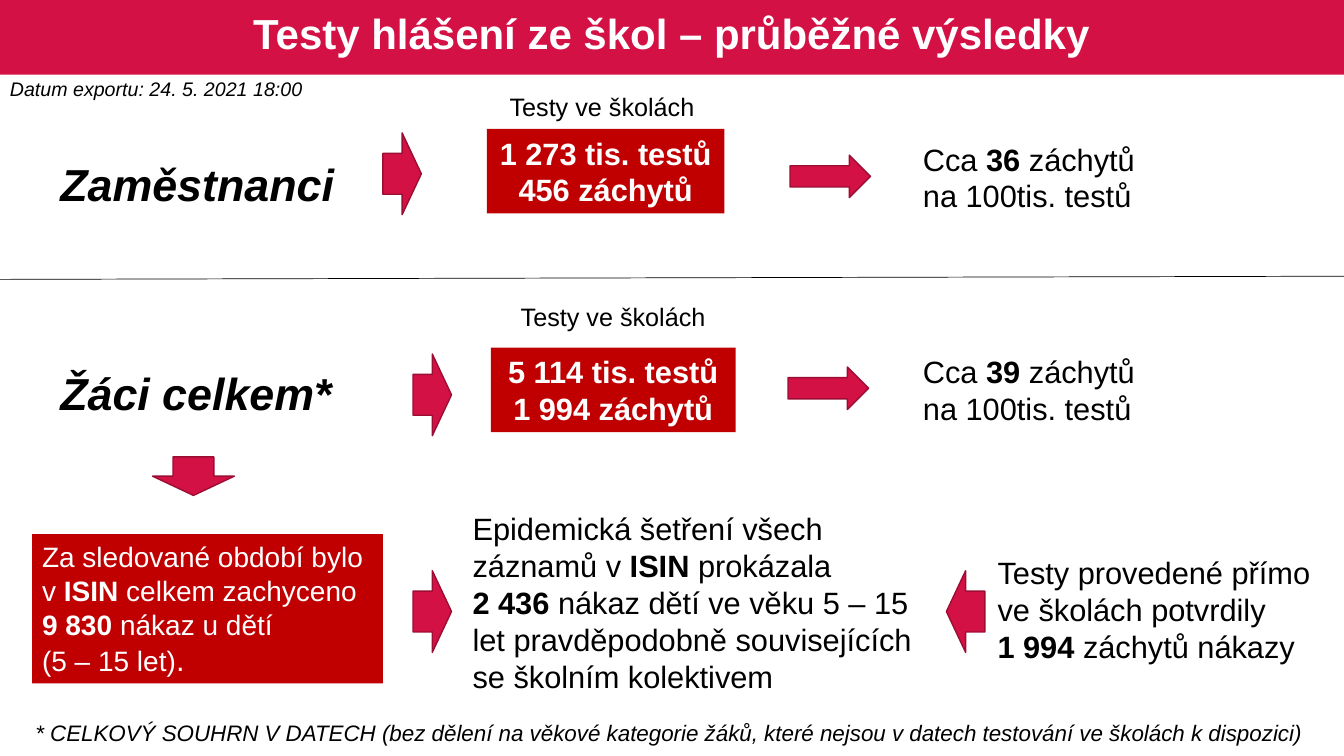
from lxml.etree import SubElement
from pptx import Presentation
from pptx.dml.color import RGBColor
from pptx.enum.shapes import MSO_CONNECTOR, MSO_SHAPE
from pptx.enum.text import MSO_ANCHOR, PP_ALIGN
from pptx.oxml.ns import qn
from pptx.util import Cm, Pt

CRIMSON = RGBColor(0xD3, 0x11, 0x45)
DARK_CRIMSON = RGBColor(0x9C, 0x0D, 0x33)
RED = RGBColor(0xC0, 0x00, 0x00)
WHITE = RGBColor(0xFF, 0xFF, 0xFF)
BLACK = RGBColor(0x00, 0x00, 0x00)

prs = Presentation()
prs.slide_width, prs.slide_height = Cm(33.87), Cm(19.05)
s = prs.slides.add_slide(prs.slide_layouts[6])


def add_block(kind, box, fill, line=None):
    sp = s.shapes.add_shape(kind, *map(Cm, box))
    sp.shadow.inherit = False
    sp.fill.solid()
    sp.fill.fore_color.rgb = fill
    if line is None:
        sp.line.fill.background()
    else:
        sp.line.color.rgb = line
        sp.line.width = Pt(1)
    return sp


def add_text(box, paragraphs, size, fill=None, color=BLACK, align=PP_ALIGN.LEFT, wrap=True, **style):
    if fill is None:
        sp = s.shapes.add_textbox(*map(Cm, box))
    else:
        sp = add_block(MSO_SHAPE.RECTANGLE, box, fill)
    tf = sp.text_frame
    tf.word_wrap = wrap
    tf.vertical_anchor = MSO_ANCHOR.MIDDLE
    for i, text in enumerate(paragraphs):
        p = tf.paragraphs[0] if i == 0 else tf.add_paragraph()
        p.alignment = align
        for j, part in enumerate(text.split("|")):
            if part == "\n":
                p.add_line_break()
            elif part:
                r = p.add_run()
                r.text = part
                r.font.color.rgb = color
                values = {"name": "Arial", "size": Pt(size), "bold": j % 2 == 1, **style}
                for key, value in values.items():
                    setattr(r.font, key, value)
    return tf


add_block(MSO_SHAPE.RECTANGLE, (0, 0, 33.87, 1.88), CRIMSON)
tf = add_text((0.46, 0.1, 32.94, 1.6), ["Testy hlášení ze škol – průběžné výsledky"], 30,
              color=WHITE, align=PP_ALIGN.CENTER, bold=True)
tf.paragraphs[0].line_spacing = 0.9

add_text((0, 1.8, 7.92, 0.86), ["Datum exportu: 24. 5. 2021 18:00"], 14, wrap=False, italic=True)
add_text((0.64, 17.98, 33.2, 0.94),
         ["* CELKOVÝ SOUHRN V DATECH (bez dělení na věkové kategorie žáků, "
          "které nejsou v datech testování ve školách k dispozici)"], 16, italic=True)

groups = [
    ("Zaměstnanci", 3.81, (10.13, 2.18), (12.27, 3.25, 5.99, 2.13),
     ["1 273 tis. testů", "456 záchytů"], (19.91, 3.91), "36", 3.4),
    ("Žáci celkem*", 9.09, (10.41, 7.47), (12.37, 8.76, 6.17, 2.13),
     ["5 114 tis. testů", "1 994 záchytů"], (19.86, 9.25), "39", 8.76),
]
for name, name_top, caption, box, counts, arrow, rate, rate_top in groups:
    add_text((1.27, name_top, 7.7, 1.63), [name], 32, bold=True, italic=True)
    add_text((*caption, 10.26, 1.02), ["Testy ve školách "], 18, align=PP_ALIGN.CENTER)
    add_text(box, counts, 22, fill=RED, color=WHITE, align=PP_ALIGN.CENTER, bold=True)
    add_block(MSO_SHAPE.RIGHT_ARROW, (*arrow, 2.03, 1.07), CRIMSON, DARK_CRIMSON)
    add_text((23.01, rate_top, 6.88, 2.13), [f"Cca |{rate}| záchytů na 100tis. testů"], 22, fill=WHITE)

tf = add_text((0.81, 13.46, 8.84, 3.76),
              ["Za sledované období bylo v |ISIN| celkem zachyceno|\n||9 830 |nákaz u dětí",
               "(5 – 15 let)||."], 20, fill=RED, color=WHITE)
tf.paragraphs[-1].runs[-1].font.size = Pt(22)
add_text((24.89, 13.82, 8.92, 3.07),
         ["Testy provedené přímo ve školách potvrdily", "|1 994 |záchytů nákazy"], 22, fill=WHITE)
add_text((11.66, 12.7, 12.04, 4.95),
         ["Epidemická šetření všech záznamů v |ISIN| prokázala",
          "|2 436 |nákaz dětí ve věku 5 – 15 let pravděpodobně souvisejících se školním kolektivem"],
         22, fill=WHITE)

divider = s.shapes.add_connector(MSO_CONNECTOR.STRAIGHT, Cm(0), Cm(7.04), Cm(33.87), Cm(6.96))
divider.line.color.rgb = BLACK
divider.line.width = Pt(0.5)
SubElement(divider.element.spPr, qn("a:effectLst"))

for left, top, rotation in [(9.65, 3.35, 0), (10.41, 8.92, 0), (4.39, 10.97, 90),
                            (10.41, 14.38, 0), (23.85, 14.38, 180)]:
    sp = add_block(MSO_SHAPE.RIGHT_ARROW, (left, top, 0.97, 2.06), CRIMSON, DARK_CRIMSON)
    sp.rotation = rotation

prs.save("out.pptx")
